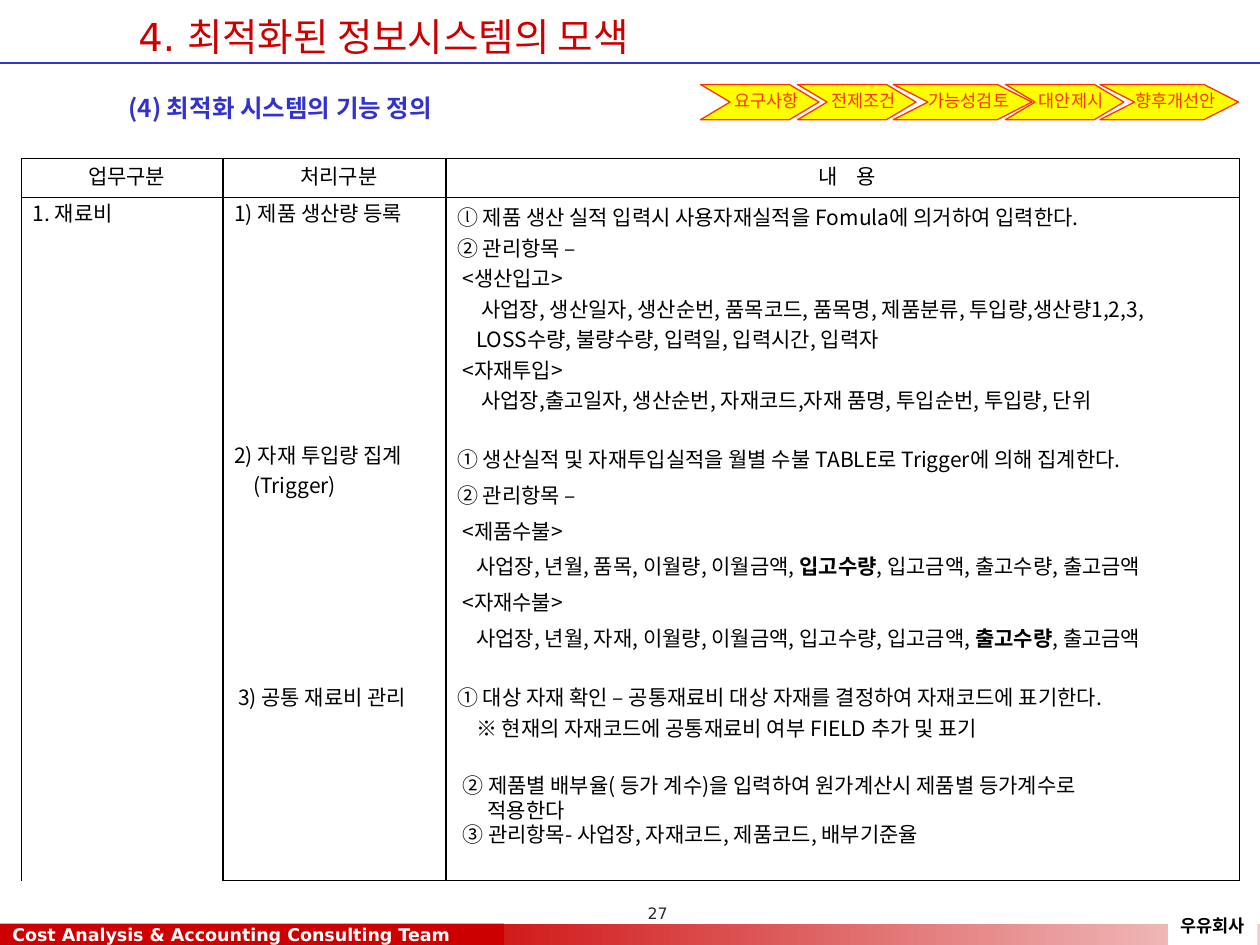
from lxml.etree import SubElement
from pptx import Presentation
from pptx.dml.color import RGBColor
from pptx.enum.shapes import MSO_CONNECTOR, MSO_SHAPE
from pptx.enum.text import MSO_ANCHOR, PP_ALIGN
from pptx.oxml.ns import qn
from pptx.util import Inches, Pt

COLS, ROWS = 100, 75  # one grid step is a tenth of an inch
COLORS = {
    "red": "CC0000", "pink": "F3CBCB", "blue": "3333CC", "yellow": "FFFF00",
    "orange": "FF3300", "black": "000000", "gray": "292929", "white": "FFFFFF",
}
KOREAN, LATIN = "Noto Sans CJK KR", "DejaVu Sans"
TIGHT = 0.82

STEPS = [("요구사항", 55.6, 9.4), ("전제조건", 63.3, 9.4), ("가능성검토", 70.9, 11),
         ("대안제시", 79.8, 9.4), ("향후개선안", 87.3, 11)]

HEADINGS = [("업무구분", {}), ("처리구분", {}), ("내 용", {"tracking": 4})]
CATEGORY = [("1. 재료비", {"leading": TIGHT})]
HEAD, LIST, NEXT = {"indent": 0.4}, {"indent": 1.5}, {"before": 3}
# Each process: its label lines, then its description lines
PROCESSES = [
    ([("1) 제품 생산량 등록", {"leading": TIGHT})],
     [("ⓛ 제품 생산 실적 입력시 사용자재실적을 Fomula에 의거하여 입력한다.", {}),
      ("② 관리항목 –", {}),
      ("<생산입고>", HEAD),
      ("사업장, 생산일자, 생산순번, 품목코드, 품목명, 제품분류, 투입량,생산량1,2,3,",
       {"indent": 1.9}),
      ("LOSS수량, 불량수량, 입력일, 입력시간, 입력자", LIST),
      ("<자재투입>", HEAD),
      ("사업장,출고일자, 생산순번, 자재코드,자재 품명, 투입순번, 투입량, 단위",
       {"indent": 1.9})]),
    ([("2) 자재 투입량 집계", {"leading": TIGHT}),
      ("(Trigger)", {"leading": TIGHT, **LIST, **NEXT})],
     [("① 생산실적 및 자재투입실적을 월별 수불 TABLE로 Trigger에 의해 집계한다.", {}),
      ("② 관리항목 –", NEXT),
      ("<제품수불>", HEAD | NEXT),
      ("사업장, 년월, 품목, 이월량, 이월금액, *입고수량*, 입고금액, 출고수량, 출고금액",
       LIST | NEXT),
      ("<자재수불>", HEAD | NEXT),
      ("사업장, 년월, 자재, 이월량, 이월금액, 입고수량, 입고금액, *출고수량*, 출고금액",
       LIST | NEXT)]),
    ([("3) 공통 재료비 관리", {"indent": 0.3})],
     [("① 대상 자재 확인 – 공통재료비 대상 자재를 결정하여 자재코드에 표기한다.", {}),
      ("※ 현재의 자재코드에 공통재료비 여부 FIELD 추가 및 표기", LIST),
      ("② 제품별 배부율( 등가 계수)을 입력하여 원가계산시 제품별 등가계수로",
       {"leading": TIGHT, "before": 17.5, **HEAD}),
      ("적용한다", {"leading": TIGHT, "indent": 2.4}),
      ("③ 관리항목- 사업장, 자재코드, 제품코드, 배부기준율", {"leading": TIGHT, **HEAD})]),
]


def rgb(name):
    return RGBColor.from_string(COLORS[name])


def write(paragraph, text, *, size=12, color="black", font=KOREAN, bold=False,
          align=PP_ALIGN.LEFT, indent=0, before=0, leading=1.0, tracking=0):
    """Fill a paragraph; parts between asterisks come out bold."""
    paragraph.alignment = align
    paragraph.line_spacing = leading
    paragraph.space_before = Pt(before)
    if indent:
        paragraph._p.get_or_add_pPr().set("marL", str(Inches(indent / 10)))
    for index, part in enumerate(text.split("*")):
        run = paragraph.add_run()
        run.text = part
        run.font.size, run.font.name = Pt(size), font
        run.font.bold = bold or index % 2 == 1
        run.font.color.rgb = rgb(color)
        properties = run._r.get_or_add_rPr()
        SubElement(properties, qn("a:ea")).set("typeface", KOREAN)
        if tracking:
            properties.set("spc", str(tracking * 100))


class SlideBuilder:
    def __init__(self, deck):
        self.deck = deck
        self.slide = deck.slides.add_slide(deck.slide_layouts[6])

    def x(self, columns):
        return int(self.deck.slide_width * columns / COLS)

    def y(self, rows):
        return int(self.deck.slide_height * rows / ROWS)

    def area(self, left, top, width, height):
        return self.x(left), self.y(top), self.x(width), self.y(height)

    def frame(self, holder, text, insets=(1, 0.5, 1, 0.5), anchor=MSO_ANCHOR.TOP,
              wrap=True, **style):
        frame = holder.text_frame
        frame.word_wrap, frame.vertical_anchor = wrap, anchor
        left, top, right, bottom = insets
        frame.margin_left, frame.margin_right = self.x(left), self.x(right)
        frame.margin_top, frame.margin_bottom = self.y(top), self.y(bottom)
        write(frame.paragraphs[0], text, **style)

    def text(self, area, text, **style):
        self.frame(self.slide.shapes.add_textbox(*self.area(*area)), text, **style)

    def shape(self, area, fill, kind=MSO_SHAPE.RECTANGLE, line=None):
        shape = self.slide.shapes.add_shape(kind, *self.area(*area))
        shape.shadow.inherit = False
        shape.fill.solid()
        shape.fill.fore_color.rgb = rgb(fill)
        if line:
            shape.line.color.rgb, shape.line.width = rgb(line), Pt(0.75)
        else:
            shape.line.fill.background()
        return shape

    def fade(self, area, start, end):
        fill = self.shape(area, start).fill
        fill.gradient()
        fill.gradient_angle = 0
        for stop, color, position in zip(fill.gradient_stops, (start, end), (0, 1)):
            stop.color.rgb, stop.position = rgb(color), position

    def rule(self, row, color):
        line = self.slide.shapes.add_connector(
            MSO_CONNECTOR.STRAIGHT, 0, self.y(row), self.x(COLS), self.y(row))
        line.line.color.rgb, line.line.width = rgb(color), Pt(0.75)
        SubElement(line._element.spPr, qn("a:effectLst"))

    def step(self, label, left, width):
        chevron = self.shape((left, 6.7, width, 2.8), "yellow", MSO_SHAPE.CHEVRON, "orange")
        chevron.adjustments[0] = width / 4 / 2.8
        self.frame(chevron, label, insets=(2, 0, 1, 0.3), anchor=MSO_ANCHOR.MIDDLE,
                   wrap=False, size=10, color="orange", align=PP_ALIGN.CENTER)

    def table(self, left, top, widths, heights):
        table = self.slide.shapes.add_table(
            len(heights), len(widths),
            *self.area(left, top, sum(widths), sum(heights))).table
        table.first_row = table.horz_banding = False
        for column, width in zip(table.columns, widths):
            column.width = self.x(width)
        for row, height in zip(table.rows, heights):
            row.height = self.y(height)
        last = len(heights) - 1
        for index, row in enumerate(table.rows):
            for cell in row.cells:
                self.border(cell, top=index < 2, bottom=index in (0, last))
                cell.fill.background()
        return table

    def border(self, cell, top, bottom):
        properties = cell._tc.get_or_add_tcPr()
        for side, drawn in (("L", True), ("R", True), ("T", top), ("B", bottom)):
            line = SubElement(properties, qn(f"a:ln{side}"), w=str(Pt(0.75)))
            if drawn:
                fill = SubElement(line, qn("a:solidFill"))
                SubElement(fill, qn("a:srgbClr"), val=COLORS["black"])
            else:
                SubElement(line, qn("a:noFill"))

    def cell(self, cell, lines, top=0.3, bottom=0.1, anchor=MSO_ANCHOR.TOP, **style):
        cell.vertical_anchor = anchor
        cell.margin_left, cell.margin_right = self.x(0.9), self.x(0.2)
        cell.margin_top, cell.margin_bottom = self.y(top), self.y(bottom)
        frame = cell.text_frame
        for index, (text, form) in enumerate(lines):
            paragraph = frame.add_paragraph() if index else frame.paragraphs[0]
            write(paragraph, text, **style, **form)


def main():
    deck = Presentation()
    deck.slide_width, deck.slide_height = Inches(10), Inches(7.5)
    page = SlideBuilder(deck)

    page.fade((30.8, 73.3, 69.2, 1.7), "red", "pink")
    page.rule(5, "blue")
    page.frame(page.shape((0, 73.3, 40, 1.7), "red"),
               "Cost Analysis & Accounting Consulting Team", insets=(1, 0, 1, 0),
               anchor=MSO_ANCHOR.MIDDLE, wrap=False, size=10, color="white",
               font=LATIN, bold=True)
    page.frame(page.shape((92.7, 72.3, 7.1, 2.7), "white"), "우유회사",
               insets=(1, 0.3, 1, 0.3), wrap=False, size=10, bold=True,
               align=PP_ALIGN.CENTER)

    functions = page.table(1.7, 12.6, (16, 17.7, 63), (3.1, 19.2, 18.9, 16.1))
    for column, heading in enumerate(HEADINGS):
        page.cell(functions.cell(0, column), [heading], top=0, bottom=0.5,
                  anchor=MSO_ANCHOR.MIDDLE, align=PP_ALIGN.CENTER)
    functions.cell(1, 0).merge(functions.cell(len(PROCESSES), 0))
    page.cell(functions.cell(1, 0), CATEGORY)
    for row, (label, description) in enumerate(PROCESSES, start=1):
        page.cell(functions.cell(row, 1), label)
        page.cell(functions.cell(row, 2), description)

    page.text((10, 0.4, 77.5, 5), "4. 최적화된 정보시스템의 모색",
              anchor=MSO_ANCHOR.MIDDLE, size=22, color="red", font=LATIN)
    page.text((9.2, 6.9, 45, 3.3), "(4) 최적화 시스템의 기능 정의",
              size=14, color="blue", bold=True)
    for label, left, width in STEPS:
        page.step(label, left, width)
    page.text((44.2, 71.2, 15, 2.5), "27", insets=(1, 0.5, 0, 0.5), size=9,
              color="gray", font=LATIN, align=PP_ALIGN.CENTER)

    deck.save("out.pptx")


if __name__ == "__main__":
    main()
